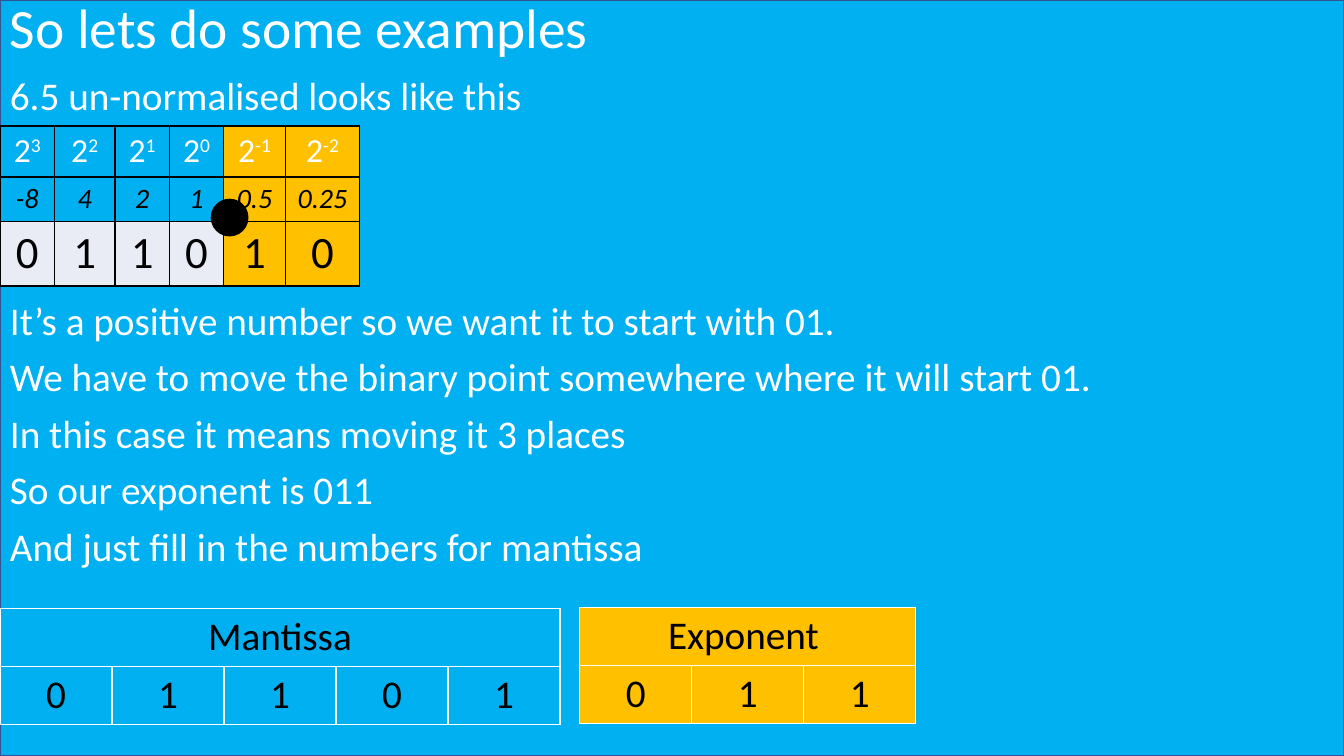
from lxml import etree
from pptx import Presentation
from pptx.dml.color import RGBColor
from pptx.enum.shapes import MSO_SHAPE as SHAPE
from pptx.enum.text import MSO_ANCHOR as ANCHOR, PP_ALIGN as ALIGN
from pptx.oxml import parse_xml
from pptx.oxml.ns import nsdecls
from pptx.util import Pt

C = {"blue": "00B0F0", "edge": "325491", "gold": "FFC000",
     "pale": "E9EBF5", "white": "FFFFFF", "black": "000000"}
W, H = 960, 540


def add_run(p, text, size, color, italic=False, raised=False):
    r = p.add_run()
    r.text = text
    r.font.name, r.font.size = "Calibri", Pt(size)
    r.font.bold, r.font.italic = False, italic
    r.font.color.rgb = RGBColor.from_string(C[color])
    if raised:
        r._r.get_or_add_rPr().set("baseline", "30000")


def add_grid(x, y, widths, rows, border):
    """Each row is (size, text colour, italic, fills, cells); a cell lists its base and superscript."""
    heights = [round(row[0] * 1.22 + 7.2, 1) for row in rows]
    table = s.shapes.add_table(len(rows), len(widths), Pt(x), Pt(y),
                               Pt(sum(widths)), Pt(sum(heights))).table
    table.first_row = table.horz_banding = False
    for column, width in zip(table.columns, widths):
        column.width = Pt(width)
    for i, (size, color, italic, fills, cells) in enumerate(rows):
        table.rows[i].height = Pt(heights[i])
        for j, fill in enumerate(fills):
            cell = table.cell(i, j)
            cell.fill.solid()
            cell.fill.fore_color.rgb = RGBColor.from_string(C[fill])
            tcPr = cell._tc.get_or_add_tcPr()
            for k, side in enumerate("LRTB"):
                tcPr.insert(k, parse_xml(
                    f'<a:ln{side} {nsdecls("a")} w="12700"><a:solidFill>'
                    f'<a:srgbClr val="{C[border]}"/></a:solidFill></a:ln{side}>'))
            if j < len(cells):
                p = cell.text_frame.paragraphs[0]
                p.alignment = ALIGN.CENTER
                for k, text in enumerate(cells[j]):
                    add_run(p, text, size, color, italic, raised=k > 0)
        if len(cells) == 1:
            table.cell(i, 0).merge(table.cell(i, len(widths) - 1))


prs = Presentation()
prs.slide_width, prs.slide_height = Pt(W), Pt(H)
s = prs.slides.add_slide(prs.slide_layouts[6])

backdrop = s.shapes.add_shape(SHAPE.RECTANGLE, 0, 0, Pt(W), Pt(H))
backdrop.shadow.inherit = False
backdrop.fill.solid()
backdrop.fill.fore_color.rgb = RGBColor.from_string(C["blue"])
backdrop.line.color.rgb = RGBColor.from_string(C["edge"])
backdrop.line.width = Pt(1)

steps = ["It’s a positive number so we want it to start with 01.",
         "We have to move the binary point somewhere where it will start 01.",
         "In this case it means moving it 3 places",
         "So our exponent is 011",
         "And just fill in the numbers for mantissa"]
for top, height, size, anchor, lines in [
        (0, 44, 39.6, ANCHOR.MIDDLE, ["So lets do some examples"]),
        (51, 38, 28, ANCHOR.TOP, ["6.5 un-normalised looks like this"]),
        (212, 210, 28, ANCHOR.TOP, steps)]:
    tf = s.shapes.add_textbox(0, Pt(top), Pt(W), Pt(height)).text_frame
    tf.word_wrap, tf.vertical_anchor = True, anchor
    for i, line in enumerate(lines):
        p = tf.paragraphs[0] if i == 0 else tf.add_paragraph()
        p.line_spacing = 0.9
        p.space_before = Pt(10 if i else 0)
        add_run(p, line, size, "white")

whole_and_fraction = ["blue"] * 4 + ["gold"] * 2
add_grid(0, 90, [38.9, 43.2, 38.9, 38.9, 43.9, 53.3], [
    (24, "white", False, whole_and_fraction, [("2", str(n)) for n in range(3, -3, -1)]),
    (20, "black", True, whole_and_fraction, [(f"{v:g}",) for v in (-8, 4, 2, 1, 0.5, 0.25)]),
    (32, "black", False, ["pale"] * 4 + ["gold"] * 2, "011010"),
], "black")

point = s.shapes.add_shape(SHAPE.OVAL, Pt(151), Pt(142.4), Pt(26), Pt(26))
point.shadow.inherit = False
point.fill.solid()
point.fill.fore_color.rgb = RGBColor.from_string(C["black"])
point.line.color.rgb = RGBColor.from_string(C["black"])
point.line.width = Pt(1)

for x, y, heading, bits, fill in [(0, 434.6, "Mantissa", "01101", "blue"),
                                  (414.2, 434, "Exponent ", "011", "gold")]:
    fills = [fill] * len(bits)
    add_grid(x, y, [80] * len(bits), [
        (28, "black", False, fills, [(heading,)]),
        (28, "black", False, fills, bits),
    ], "white")

prs.save("out.pptx")
